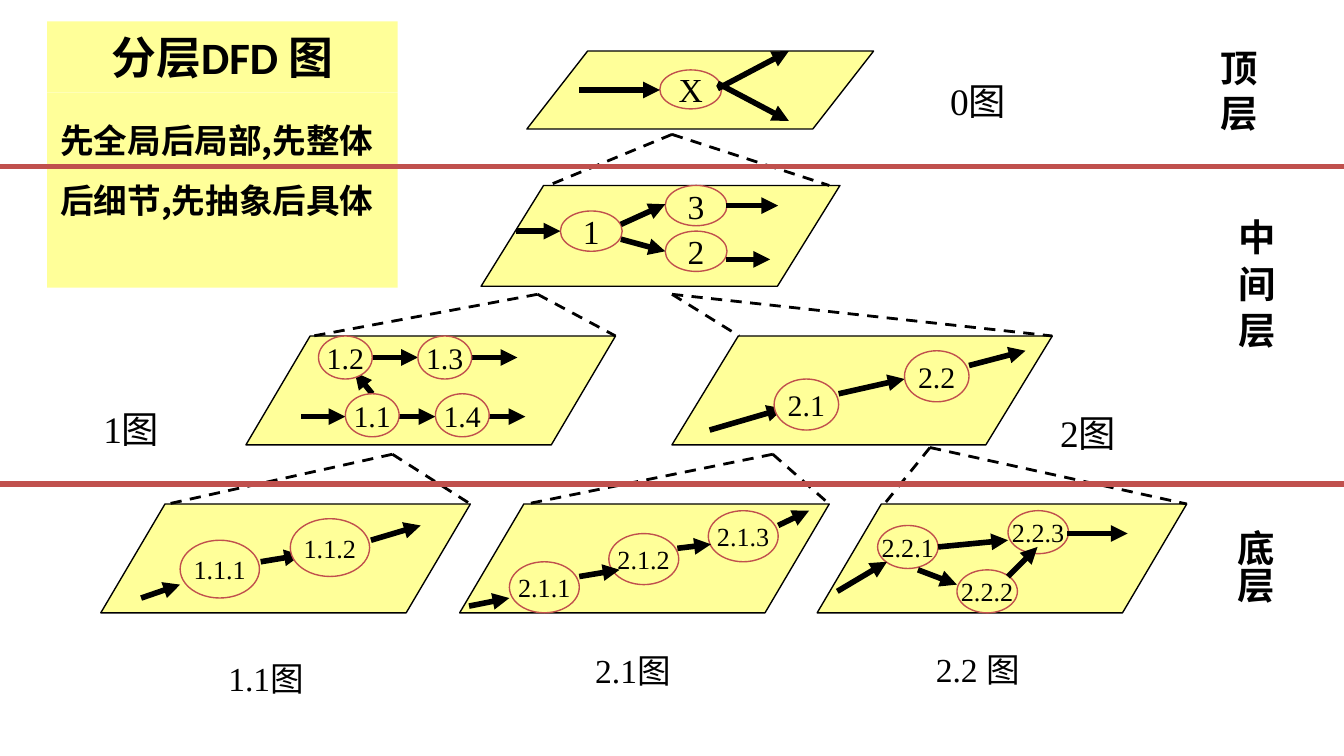
import pptx
import pptx.dml.color
import pptx.enum.dml
import pptx.enum.shapes
import pptx.enum.text
import pptx.oxml.ns
import pptx.util
from lxml import etree

YELLOW = pptx.dml.color.RGBColor(0xFF, 0xFF, 0x99)
RED = pptx.dml.color.RGBColor(0xC0, 0x50, 0x4D)
BLACK = pptx.dml.color.RGBColor(0, 0, 0)
SERIF, SANS, HEAD = "Times New Roman", "Noto Sans CJK SC", "Calibri"

KIND = pptx.enum.shapes.MSO_SHAPE
ALIGN = pptx.enum.text.PP_ALIGN
ANCHOR = pptx.enum.text.MSO_ANCHOR
FIT = pptx.enum.text.MSO_AUTO_SIZE
DASH = pptx.enum.dml.MSO_LINE.DASH
qn = pptx.oxml.ns.qn

# The 16:9 slide is a grid of square cells, 1000 columns wide
COLS = 1000
WIDTH = pptx.util.Inches(10)
HEIGHT = WIDTH * 9 // 16
CELL = WIDTH // COLS

# Panel: box, slant, bubble size, font size, arrows on top,
# bubbles (text, x, y), arrows (x1, y1, x2, y2), all from the panel corner
LEVELS = [
    ((392, 38, 258, 58), 0.78, (46, 29), 18, True,
     [("X", 99, 14)],
     [(39, 29, 99, 29), (142, 28, 195, 0), (142, 24, 195, 52)]),
    ((358, 138, 267, 75), 0.62, (46, 30), 18, True,
     [("1", 59, 19), ("3", 137, 0), ("2", 137, 34)],
     [(26, 34, 59, 34), (104, 29, 137, 14), (182, 15, 221, 15),
      (104, 40, 137, 49), (182, 55, 215, 55)]),
    ((183, 250, 275, 81), 0.59, (40, 32), 16, False,
     [("1.1", 74, 43), ("1.2", 54, 0), ("1.4", 141, 43), ("1.3", 128, 0)],
     [(41, 60, 74, 60), (114, 60, 141, 60), (94, 43, 81, 27),
      (94, 16, 128, 16), (168, 16, 202, 16), (181, 60, 208, 60)]),
    ((500, 250, 283, 81), 0.61, (48, 38), 16, False,
     [("2.1", 76, 32), ("2.2", 173, 11)],
     [(28, 70, 83, 54), (124, 43, 173, 32), (221, 22, 263, 11)]),
    ((75, 375, 275, 81), 0.59, (59, 43), 14, False,
     [("1.1.1", 59, 27), ("1.1.2", 141, 11)],
     [(30, 70, 59, 60), (119, 43, 149, 38), (201, 27, 238, 16)]),
    ((342, 375, 275, 81), 0.59, (52, 38), 14, True,
     [("2.1.3", 185, 5), ("2.1.2", 111, 22), ("2.1.1", 37, 43)],
     [(7, 76, 37, 70), (89, 54, 119, 49), (162, 33, 187, 30),
      (237, 16, 260, 5)]),
    ((608, 375, 275, 81), 0.59, (45, 32), 14, True,
     [("2.2.2", 104, 49), ("2.2.3", 142, 5), ("2.2.1", 45, 16)],
     [(15, 65, 52, 43), (90, 32, 142, 27), (186, 22, 231, 22),
      (75, 49, 104, 60), (142, 54, 164, 32)]),
]

# Dashed fan: apex x and y, left foot, right foot, foot y
FANS = [
    (500, 100, 408, 617, 138),
    (400, 219, 233, 458, 250), (500, 219, 550, 783, 250),
    (292, 338, 125, 350, 375), (575, 338, 392, 617, 375),
    (692, 333, 658, 883, 375),
]

# Caption: text, box, font size, alignment
NAMES = [
    ("0图", (697, 53, 75, 44), 20, ALIGN.LEFT),
    ("1图", (67, 297, 75, 44), 20, ALIGN.LEFT),
    ("2图", (779, 300, 75, 44), 20, ALIGN.LEFT),
    ("1.1图", (148, 485, 100, 40), 18, ALIGN.CENTER),
    ("2.1图", (417, 479, 108, 40), 18, ALIGN.CENTER),
    ("2.2 图", (665, 478, 125, 40), 18, ALIGN.CENTER),
]

# Layer: text, box, vertical, alignment
LAYERS = [
    ("顶层", (898, 29, 58, 77), False, ALIGN.LEFT),
    ("中 间 层", (903, 153, 53, 175), True, ALIGN.CENTER),
    ("底层", (902, 384, 53, 100), True, ALIGN.LEFT),
]


def grid(*cells):
    return [pptx.util.Emu(n * CELL) for n in cells]


def write(frame, text, size, font, bold=False, align=ALIGN.CENTER):
    para = frame.paragraphs[0]
    para.alignment = align
    run = para.add_run()
    run.text = text
    run.font.size = pptx.util.Pt(size)
    run.font.name = font
    run.font.bold = bold
    run.font.color.rgb = BLACK
    east = etree.SubElement(run.font._element, qn("a:ea"))
    east.set("typeface", SANS)


def label(slide, box, text, size, font, bold=False, align=ALIGN.LEFT):
    item = slide.shapes.add_shape(KIND.RECTANGLE, *grid(*box))
    item.shadow.inherit = False
    item.fill.background()
    item.line.fill.background()
    frame = item.text_frame
    frame.word_wrap = True
    frame.auto_size = FIT.SHAPE_TO_FIT_TEXT
    frame.vertical_anchor = ANCHOR.TOP
    write(frame, text, size, font, bold, align)
    return item


def form(slide, kind, box, edge):
    item = slide.shapes.add_shape(kind, *grid(*box))
    item.shadow.inherit = False
    item.fill.solid()
    item.fill.fore_color.rgb = YELLOW
    item.line.color.rgb = edge
    item.line.width = pptx.util.Pt(0.75)
    return item


def line(slide, ends, color, width, dash=None, head=False):
    item = slide.shapes.add_connector(
        pptx.enum.shapes.MSO_CONNECTOR.STRAIGHT, *grid(*ends))
    item.line.color.rgb = color
    item.line.width = pptx.util.Pt(width)
    if dash:
        item.line.dash_style = dash
    if head:
        tip = etree.SubElement(item.line._get_or_add_ln(), qn("a:tailEnd"))
        tip.set("type", "triangle")
    etree.SubElement(item._element.spPr, qn("a:effectLst"))


def panel(slide, box, slant, size, font, over, nodes, flows):
    left, top = box[:2]
    form(slide, KIND.PARALLELOGRAM, box, BLACK).adjustments[0] = slant

    def bubbles():
        for text, x, y in nodes:
            item = form(slide, KIND.OVAL, (left + x, top + y, *size), RED)
            item.text_frame.word_wrap = False
            item.text_frame.vertical_anchor = ANCHOR.MIDDLE
            write(item.text_frame, text, font, SERIF)

    def arrows():
        for x1, y1, x2, y2 in flows:
            ends = (left + x1, top + y1, left + x2, top + y2)
            line(slide, ends, BLACK, 3, head=True)

    for draw in (bubbles, arrows) if over else (arrows, bubbles):
        draw()


def fan(slide, x, y, left, right, foot):
    for end in (left, right):
        line(slide, (x, y, end, foot), BLACK, 1.5, dash=DASH)


def layer(slide, text, box, tall, align):
    frame = label(slide, box, text, 20, SANS, True, align).text_frame
    if tall:
        frame._txBody.bodyPr.set("vert", "eaVert")
        frame.margin_left, frame.margin_right = grid(5, 5)
        frame.margin_top, frame.margin_bottom = grid(10, 10)


def intro(slide, left, top, width, height):
    split = 53
    note = label(slide, (left, top + split, width, height - split),
                 "先全局后局部,先整体后细节,先抽象后具体", 18, SANS, True)
    note.text_frame.paragraphs[0].line_spacing = 1.5
    title = label(slide, (left, top, width, split), "分层DFD 图", 24, HEAD,
                  True, ALIGN.CENTER)
    title.text_frame.auto_size = FIT.NONE
    title.text_frame.vertical_anchor = ANCHOR.MIDDLE
    for item in (note, title):
        item.fill.solid()
        item.fill.fore_color.rgb = YELLOW


def main():
    deck = pptx.Presentation()
    deck.slide_width, deck.slide_height = WIDTH, HEIGHT
    slide = deck.slides.add_slide(deck.slide_layouts[6])

    # Diagram levels and the fans that link them
    for level in LEVELS:
        panel(slide, *level)
    for spread in FANS:
        fan(slide, *spread)

    # Layer names, title block and captions
    for name in LAYERS:
        layer(slide, *name)
    intro(slide, 35, 16, 261, 198)
    for text, box, size, align in NAMES:
        label(slide, box, text, size, SERIF, align=align)

    # Lines between layers
    for y in (124, 360):
        line(slide, (0, y, COLS, y), RED, 3)

    deck.save("out.pptx")


if __name__ == "__main__":
    main()
